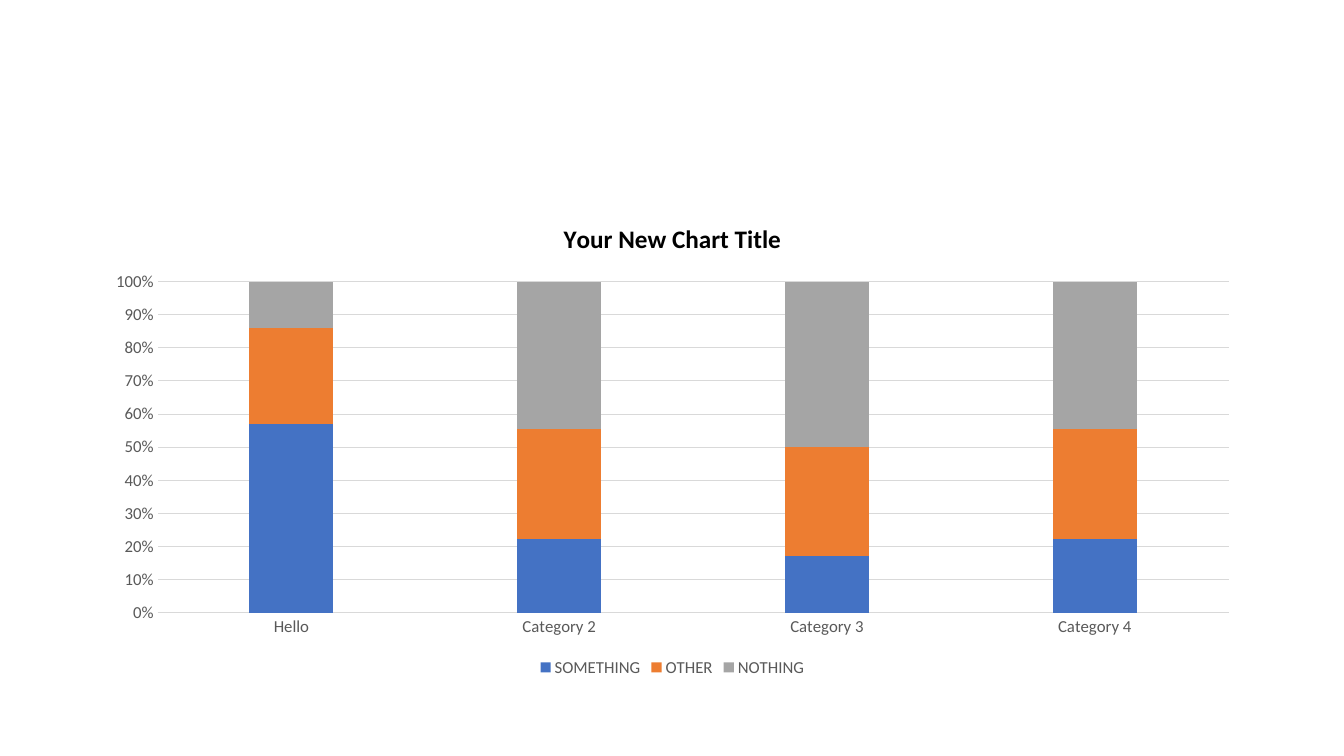
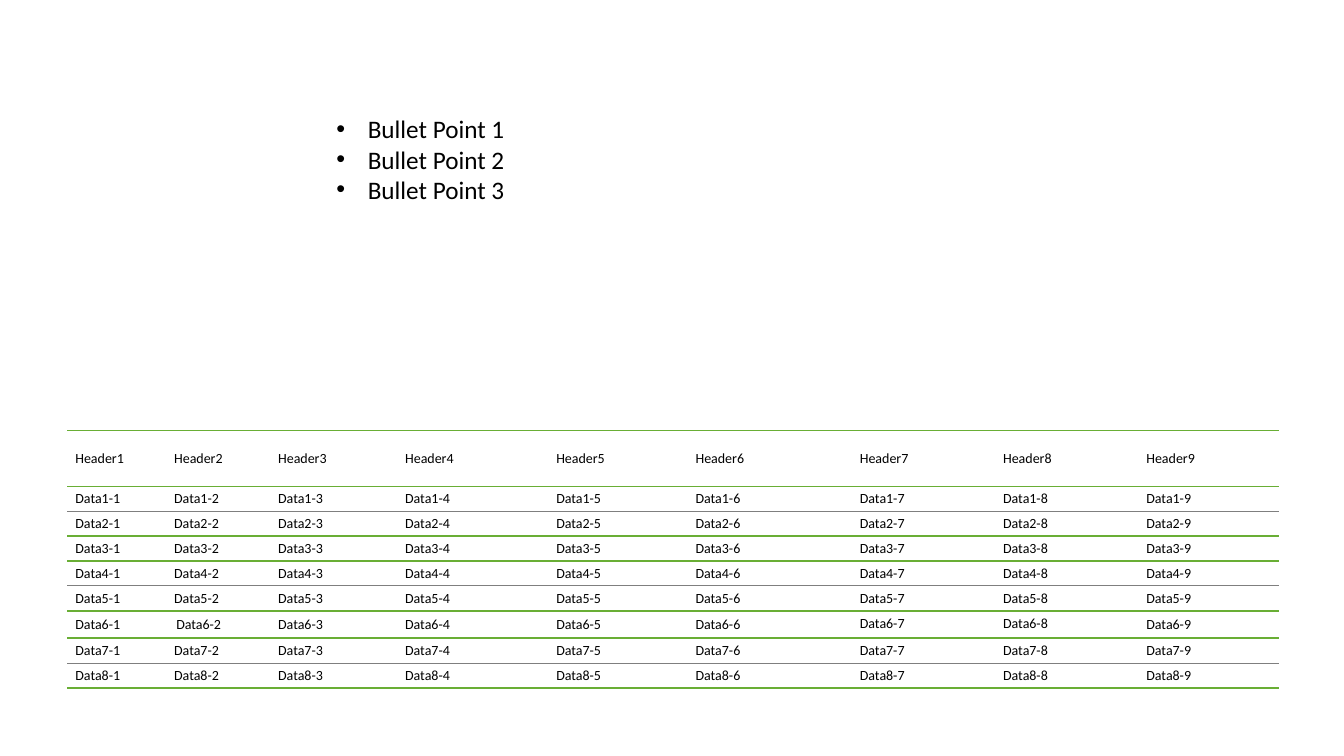
from lxml.etree import SubElement as Sub
from pptx import Presentation
from pptx.chart.data import CategoryChartData
from pptx.dml.color import RGBColor
from pptx.enum.chart import XL_CHART_TYPE as ChartType, XL_LEGEND_POSITION as LegendPosition, XL_TICK_MARK as TickMark
from pptx.enum.text import MSO_ANCHOR as Anchor, MSO_AUTO_SIZE as AutoSize
from pptx.oxml.ns import qn
from pptx.util import Cm, Pt

COLORS = {
    "ink": "000000",
    "label": "595959",
    "grid": "D9D9D9",
    "blue": "4472C4",
    "orange": "ED7D31",
    "gray": "A5A5A5",
    "rule": "69AE35",
    "thin rule": "7F7F7F",
}
PLAIN_TABLE = "{2D5ABB26-0587-4C30-8999-92F81FD0307C}"


def color(name):
    return RGBColor.from_string(COLORS[name])


class SlideBuilder:
    font = "Calibri"

    def __init__(self):
        self.deck = Presentation()
        self.deck.slide_width = Cm(33.87)
        self.deck.slide_height = Cm(19.05)
        self.page = None

    def add_page(self):
        self.page = self.deck.slides.add_slide(self.deck.slide_layouts[6])

    def style(self, font, size, name="ink", bold=False):
        font.name = self.font
        font.size = Pt(size)
        font.bold = bold
        font.color.rgb = color(name)

    def add_span(self, para, text, size, bold=False):
        span = para.add_run()
        span.text = text
        self.style(span.font, size, bold=bold)

    def stacked_chart(self, place, title, categories, series):
        data = CategoryChartData()
        data.categories = categories
        for name, _, values in series:
            data.add_series(name, values)
        chart = self.page.shapes.add_chart(
            ChartType.COLUMN_STACKED_100, *map(Cm, place), data).chart
        self.style(chart.font, 12, "label")
        chart.has_title = True
        self.add_span(chart.chart_title.text_frame.paragraphs[0], title, 18, bold=True)
        chart.has_legend = True
        chart.legend.position = LegendPosition.BOTTOM
        chart.legend.include_in_layout = False
        self.style(chart.legend.font, 12, "label")
        plot = chart.plots[0]
        plot.gap_width = 219
        plot.overlap = 100
        plot.vary_by_categories = False
        for bars, (_, name, _) in zip(plot.series, series):
            bars.format.fill.solid()
            bars.format.fill.fore_color.rgb = color(name)
        for axis in (chart.category_axis, chart.value_axis):
            axis.major_tick_mark = axis.minor_tick_mark = TickMark.NONE
            self.style(axis.tick_labels.font, 12, "label")
        chart.value_axis.has_major_gridlines = True
        chart.value_axis.tick_labels.number_format = "0%"
        chart.value_axis.tick_labels.number_format_is_linked = False
        chart.value_axis.format.line.fill.background()
        for part in (chart.category_axis, chart.value_axis.major_gridlines):
            part.format.line.color.rgb = color("grid")
            part.format.line.width = Pt(0.75)

    def bullets(self, place, items):
        frame = self.page.shapes.add_textbox(*map(Cm, place)).text_frame
        frame.word_wrap = True
        frame.auto_size = AutoSize.SHAPE_TO_FIT_TEXT
        for number, item in enumerate(items):
            para = frame.add_paragraph() if number else frame.paragraphs[0]
            props = para._p.get_or_add_pPr()
            props.set("marL", str(Cm(0.79)))
            props.set("indent", str(-Cm(0.79)))
            Sub(props, qn("a:buFont"), typeface="Arial")
            Sub(props, qn("a:buChar"), char="•")
            self.add_span(para, item, 18)

    def border(self, cell, side, name, width):
        line = Sub(cell._tc.get_or_add_tcPr(), qn(f"a:ln{side}"), w=str(Pt(width)))
        Sub(Sub(line, qn("a:solidFill")), qn("a:srgbClr"), val=COLORS[name])

    def ruled_table(self, place, widths, heights, rows, rules, top_columns, wide_cells):
        table = self.page.shapes.add_table(
            len(rows), len(widths), *map(Cm, place)).table
        table.first_row = table.horz_banding = False
        table._tbl.tblPr.find(qn("a:tableStyleId")).text = PLAIN_TABLE
        for column, width in zip(table.columns, widths):
            column.width = Cm(width)
        for row, height in zip(table.rows, heights):
            row.height = Cm(height)
        for r, texts in enumerate(rows):
            for c, text in enumerate(texts):
                cell = table.cell(r, c)
                if (r, c) not in wide_cells:
                    cell.margin_left = cell.margin_right = Cm(0.2)
                    cell.margin_top = cell.margin_bottom = Cm(0.1)
                top = r and c in top_columns
                cell.vertical_anchor = Anchor.TOP if top else Anchor.MIDDLE
                self.border(cell, "T", *rules[r])
                self.border(cell, "B", *rules[r + 1])
                cell.fill.background()
                self.add_span(cell.text_frame.paragraphs[0], text, 10)


builder = SlideBuilder()

builder.add_page()
builder.stacked_chart(
    (2.34, 5.08, 29.21, 12.09),
    "Your New Chart Title",
    ["Hello", "Category 2", "Category 3", "Category 4"],
    [
        ("SOMETHING", "blue", (57, 22, 17, 22)),
        ("OTHER", "orange", (29, 33, 33, 33)),
        ("NOTHING", "gray", (14, 44, 50, 44)),
    ],
)

builder.add_page()
labels = ["Header"] + [f"Data{row}-" for row in range(1, 9)]
rows = [[f"{' ' if column > 1 else ''}{label}{column}" for column in range(1, 10)]
        for label in labels]
green, thin, thick = ("rule", 1), ("thin rule", 0.75), ("rule", 1.5)
builder.ruled_table(
    (1.7, 10.85, 30.48, 6.25),
    [2.41, 2.62, 3.2, 3.81, 3.51, 4.14, 3.61, 3.61, 3.61],
    [1.4] + [0.61] * 8,
    rows,
    [green] + [green, thin, thick] * 2 + [green, thin, green],
    top_columns={6, 7},
    wide_cells={(6, 1)},
)
builder.bullets((8.23, 2.74, 12.75, 2.57), [f"Bullet Point {n}" for n in range(1, 4)])

builder.deck.save("out.pptx")
